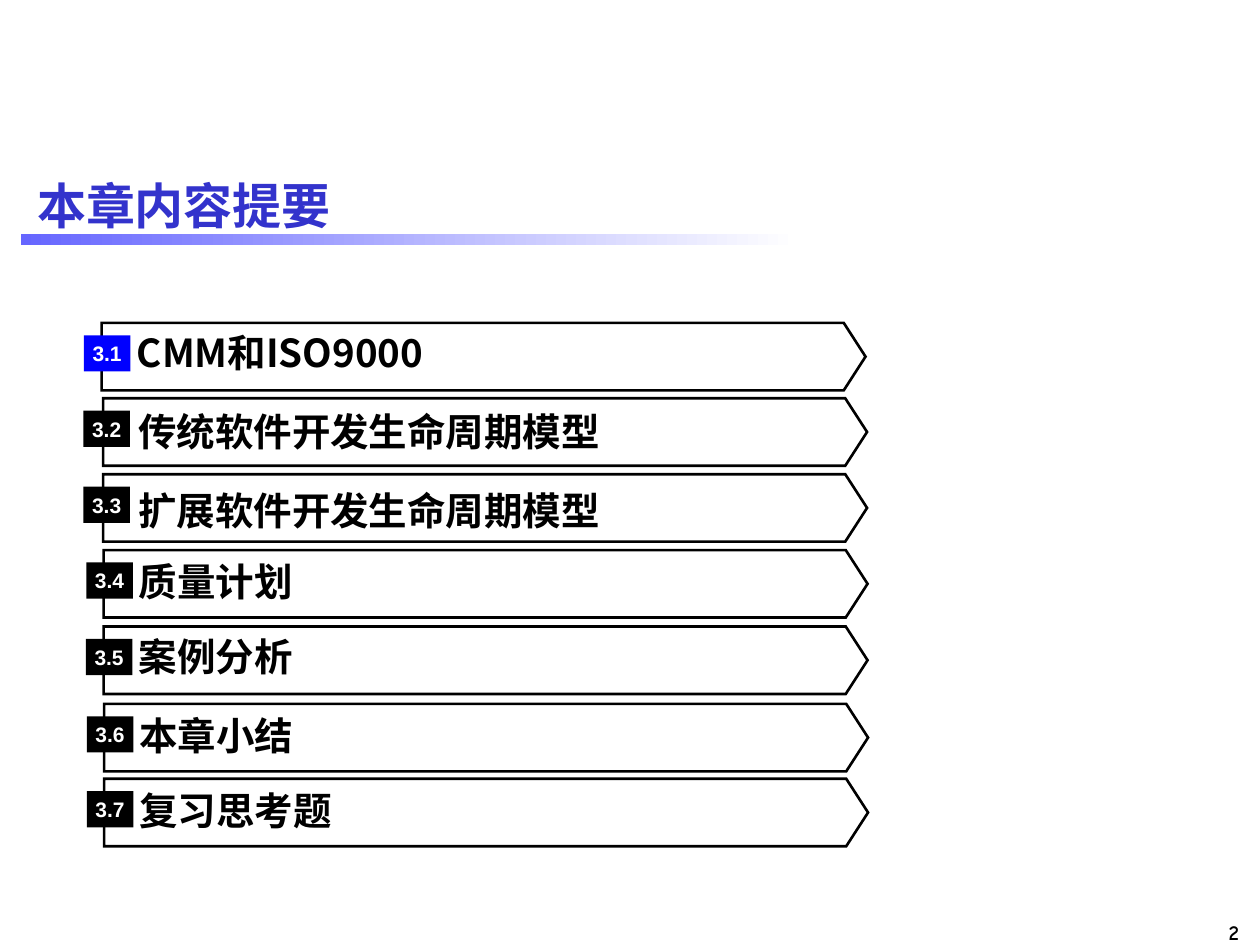
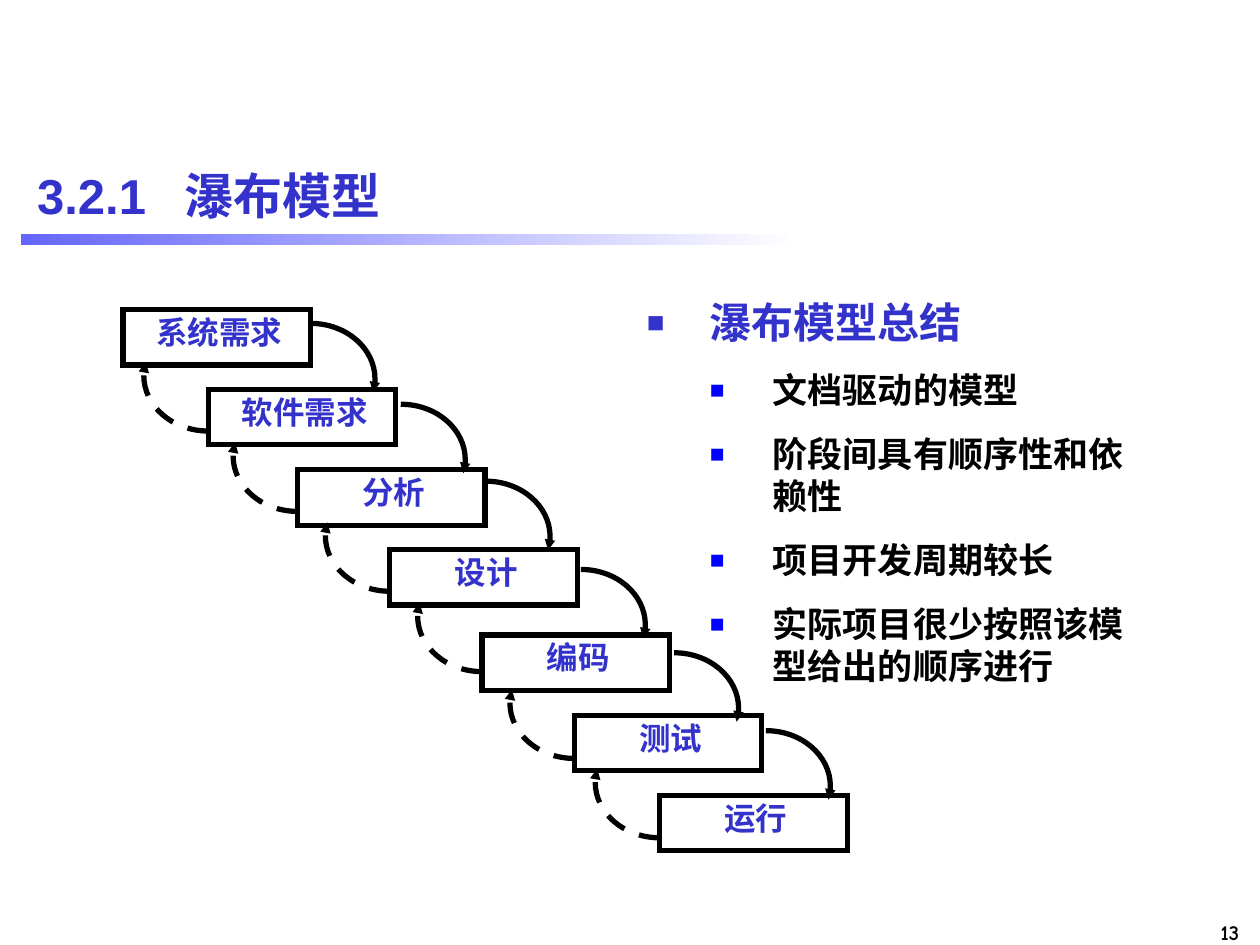
from dataclasses import dataclass
from itertools import pairwise

from lxml.etree import SubElement
from pptx import Presentation
from pptx.dml.color import RGBColor
from pptx.enum.dml import MSO_LINE_DASH_STYLE as Dash
from pptx.enum.shapes import MSO_SHAPE as Kind
from pptx.enum.text import MSO_ANCHOR as Anchor, PP_ALIGN as Align
from pptx.oxml.ns import qn
from pptx.util import Cm, Pt

BLACK, WHITE = "000000", "FFFFFF"
INDIGO, BLUE, BAND = "3333CC", "0000FF", "6666FF"
SANS, SERIF, HAN, PAGE = "Arial", "Times New Roman", "Noto Sans CJK SC", "Comic Neue"
INSET = (0.25, 0.13)
NO_INSET = (0, 0)


@dataclass(frozen=True)
class Style:
    size: float
    font: str
    color: str
    align: Align = Align.LEFT


@dataclass(frozen=True)
class Box:
    left: float
    top: float
    width: float
    height: float

    def cm(self) -> list:
        return [Cm(v) for v in (self.left, self.top, self.width, self.height)]


@dataclass(frozen=True)
class Topic:
    name: str
    left: float
    top: float
    badge_left: float
    label_top: float
    font: str = SERIF


@dataclass(frozen=True)
class Stage:
    """A box of the waterfall; gap and drop place its outgoing arc, back its return arc."""
    name: str
    left: float
    top: float
    gap: float = 0
    drop: float = 0
    back: float = 0


TITLE = Style(28, SANS, INDIGO)
NUMBER = Style(12, PAGE, BLACK, Align.RIGHT)
BADGE = Style(12, SANS, WHITE, Align.CENTER)
STAGE = Style(18, SERIF, INDIGO, Align.CENTER)
HEAD = Style(24, SERIF, INDIGO)
POINT = Style(20, HAN, BLACK)

TOPICS = [
    Topic("CMM和ISO9000", 2.05, 6.51, 1.69, 6.6, HAN),
    Topic("传统软件开发生命周期模型", 2.08, 8.03, 1.68, 8.19),
    Topic("扩展软件开发生命周期模型", 2.08, 9.56, 1.68, 9.79),
    Topic("质量计划", 2.09, 11.09, 1.74, 11.22),
    Topic("案例分析", 2.09, 12.63, 1.73, 12.73),
    Topic("本章小结", 2.1, 14.19, 1.75, 14.32),
    Topic("复习思考题", 2.1, 15.7, 1.75, 15.84),
]
STAGES = [
    Stage("系统需求", 2.48, 6.24, 0, 0.28),
    Stage("软件需求", 4.2, 7.85, 0.1, 0.3, 0.84),
    Stage("分析", 6, 9.47, 0.01, 0.23, 0.84),
    Stage("设计", 7.86, 11.08, 0.07, 0.4, 0.84),
    Stage("编码", 9.72, 12.8, 0.09, 0.36, 0.74),
    Stage("测试", 11.58, 14.42, 0.08, 0.31, 0.87),
    Stage("运行", 13.3, 16.03, 0, 0, 0.86),
]
STAGE_W, STAGE_H = 3.78, 1.12
BEND = [(0, 0), (0.72, 0), (1.3, 0.5), (1.3, 1.12), (1.3, 1.21), (1.29, 1.3), (1.26, 1.39)]
POINTS = ["文档驱动的模型", "阶段间具有顺序性和依赖性", "项目开发周期较长",
          "实际项目很少按照该模型给出的顺序进行"]


def rgb(code: str) -> RGBColor:
    return RGBColor.from_string(code)


def dress(para, style: Style) -> None:
    para.alignment = style.align
    for run in para.runs:
        font = run.font
        font.size, font.name, font.bold = Pt(style.size), style.font, True
        font.color.rgb = rgb(style.color)
        SubElement(font._element, qn("a:ea"), typeface=HAN)


def fit(frame, inset: tuple, anchor: Anchor) -> None:
    frame.word_wrap = True
    frame.vertical_anchor = anchor
    frame.margin_left = frame.margin_right = Cm(inset[0])
    frame.margin_top = frame.margin_bottom = Cm(inset[1])


def write(shapes, box: Box, text: str, style: Style, inset=NO_INSET, anchor=Anchor.MIDDLE):
    frame = shapes.add_textbox(*box.cm()).text_frame
    fit(frame, inset, anchor)
    para = frame.paragraphs[0]
    para.text = text
    dress(para, style)
    return frame


def rect(shapes, box: Box, fill: str):
    shape = shapes.add_shape(Kind.RECTANGLE, *box.cm())
    shape.shadow.inherit = False
    shape.fill.solid()
    shape.fill.fore_color.rgb = rgb(fill)
    shape.line.fill.background()
    return shape


def stroke(shape, width: float) -> None:
    """Give a black line with sharp corners."""
    shape.line.color.rgb = rgb(BLACK)
    shape.line.width = Pt(width)
    SubElement(shape.line._get_or_add_ln(), qn("a:miter"), lim="800000")


def outline(shapes, dots: list, width: float, close: bool):
    dots = [(Cm(x), Cm(y)) for x, y in dots]
    pen = shapes.build_freeform(*dots[0])
    pen.add_line_segments(dots[1:], close=close)
    shape = pen.convert_to_shape()
    shape.shadow.inherit = False
    shape.fill.background()
    stroke(shape, width)
    return shape


def start(deck, title: str, top: float, number: int):
    """Add a slide with the shared page number, band and title."""
    shapes = deck.slides.add_slide(deck.slide_layouts[6]).shapes
    write(shapes, Box(22.89, 18.4, 2.34, 0.76), str(number), NUMBER, INSET, Anchor.TOP)
    band = rect(shapes, Box(0.42, 4.72, 15.67, 0.22), BAND)
    band.fill.gradient()
    band.fill.gradient_angle = 0
    for stop, color in zip(band.fill.gradient_stops, (BAND, WHITE)):
        stop.color.rgb = rgb(color)
    frame = write(shapes, Box(0.5, top, 24.4, 2), title, TITLE, INSET)
    return shapes, frame


def draw_topic(shapes, index: int, topic: Topic) -> None:
    left, top = topic.left, topic.top
    neck, tip, mid, foot = left + 14.96, left + 15.4, top + 0.68, top + 1.36
    outline(shapes, [(left, top), (neck, top), (tip, mid), (neck, foot), (left, foot)], 1.5, True)
    write(shapes, Box(left + 0.71, topic.label_top, 13.67, 1),
          topic.name, Style(22, topic.font, BLACK))
    badge = rect(shapes, Box(topic.badge_left, top + 0.25, 0.94, 0.73), BLACK if index else BLUE)
    frame = badge.text_frame
    fit(frame, NO_INSET, Anchor.MIDDLE)
    frame.text = f"3.{index + 1}"
    dress(frame.paragraphs[0], BADGE)


def draw_stage(shapes, stage: Stage) -> None:
    parts = shapes.add_group_shape().shapes
    stroke(rect(parts, Box(stage.left, stage.top, STAGE_W, STAGE_H), WHITE), 3)
    label = Box(stage.left + 0.43, stage.top + 0.17, 3.02, 0.79)
    frame = write(parts, label, stage.name, STAGE, anchor=Anchor.TOP)
    frame.paragraphs[0].line_spacing = 0.88


def curve(shape) -> None:
    """Turn each three line segments of a freeform into one Bézier segment."""
    track = next(shape._element.iter(qn("a:path")))
    lines = track.findall(qn("a:lnTo"))
    for first in range(0, len(lines), 3):
        bezier = SubElement(track, qn("a:cubicBezTo"))
        for line in lines[first:first + 3]:
            bezier.append(line[0])
            track.remove(line)


def arc(shapes, left: float, top: float, side: int) -> None:
    """Draw an arrow bending right and down (side 1) or left and up (side -1)."""
    shape = outline(shapes, [(left + side * x, top + side * y) for x, y in BEND], 3, False)
    curve(shape)
    if side < 0:
        shape.line.dash_style = Dash.DASH
    SubElement(shape.line._get_or_add_ln(), qn("a:tailEnd"), type="triangle", w="sm", len="sm")


def bullet(para, indent: float, color: str) -> None:
    props = para._p.get_or_add_pPr()
    props.set("marL", str(Cm(indent)))
    props.set("indent", str(Cm(-1.27)))
    SubElement(SubElement(props, qn("a:buClr")), qn("a:srgbClr"), val=color)
    SubElement(props, qn("a:buSzPct"), val="70000")
    SubElement(props, qn("a:buFont"), typeface=SANS)
    SubElement(props, qn("a:buChar"), char="■")


def outline_slide(deck) -> None:
    shapes, _ = start(deck, "本章内容提要", 3.14, 2)
    for index, topic in enumerate(TOPICS):
        draw_topic(shapes, index, topic)


def model_slide(deck) -> None:
    shapes, title = start(deck, "3.2.1\t瀑布模型", 2.92, 13)
    tabs = SubElement(title.paragraphs[0]._p.get_or_add_pPr(), qn("a:tabLst"))
    SubElement(tabs, qn("a:tab"), pos=str(Cm(2.98)), algn="l")

    for stage in STAGES:
        draw_stage(shapes, stage)
    for stage, after in pairwise(STAGES):
        arc(shapes, stage.left + STAGE_W + stage.gap, stage.top + stage.drop, 1)
        arc(shapes, after.left, after.top + after.back, -1)

    frame = write(shapes, Box(12.79, 5.85, 10.21, 8.13), "瀑布模型总结", HEAD, INSET, Anchor.TOP)
    bullet(frame.paragraphs[0], 1.27, INDIGO)
    for point in POINTS:
        para = frame.add_paragraph()
        para.text = point
        para.level = 1
        bullet(para, 2.54, BLUE)
        para.space_before = Pt(12.5)
        dress(para, POINT)


def main() -> None:
    deck = Presentation()
    deck.slide_width, deck.slide_height = Cm(25.4), Cm(19.05)
    outline_slide(deck)
    model_slide(deck)
    deck.save("out.pptx")


if __name__ == "__main__":
    main()
